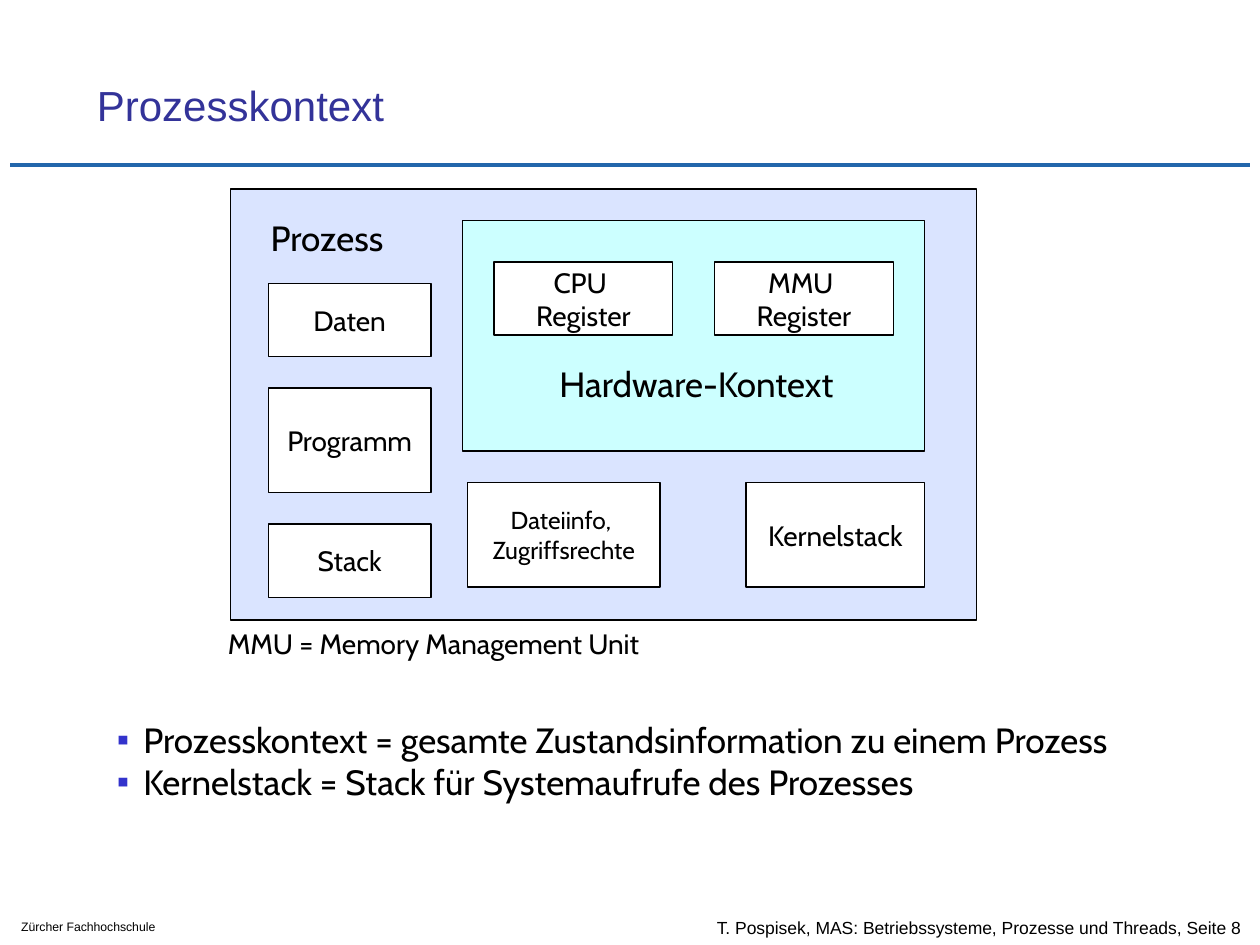
import pptx
import pptx.util
from pptx.dml.color import RGBColor
from pptx.enum.shapes import MSO_CONNECTOR, MSO_SHAPE
from pptx.enum.text import MSO_ANCHOR, MSO_AUTO_SIZE, PP_ALIGN
from pptx.oxml.ns import qn
from pptx.util import Inches
from lxml import etree

BLACK = RGBColor(0x00, 0x00, 0x00)
WHITE = RGBColor(0xFF, 0xFF, 0xFF)
TITLE_BLUE = RGBColor(0x33, 0x33, 0x99)
RULE_BLUE = RGBColor(0x22, 0x66, 0xAB)
BULLET_BLUE = RGBColor(0x33, 0x33, 0xCC)
PROCESS_FILL = RGBColor(0xDA, 0xE4, 0xFF)
HARDWARE_FILL = RGBColor(0xCC, 0xFF, 0xFF)


class SlideBuilder:
    """Holds the style and the current slide."""

    heading_font = "Arial"
    body_font = "Cabin"

    def __init__(self, slide):
        self.slide = slide

    def add_lines(self, frame, lines, size, font=None, color=BLACK, align=PP_ALIGN.LEFT):
        for index, line in enumerate(lines):
            paragraph = frame.paragraphs[0] if index == 0 else frame.add_paragraph()
            paragraph.alignment = align
            run = paragraph.add_run()
            run.text = line
            run.font.size = pptx.util.Pt(size)
            run.font.name = font or self.body_font
            run.font.color.rgb = color

    def text(self, place, lines, size, font=None, color=BLACK,
             anchor=MSO_ANCHOR.TOP, wrap=True):
        frame = self.slide.shapes.add_textbox(*map(Inches, place)).text_frame
        frame.word_wrap = wrap
        frame.auto_size = MSO_AUTO_SIZE.NONE
        frame.vertical_anchor = anchor
        self.add_lines(frame, lines, size, font, color)
        return frame

    def bullets(self, place, lines, size):
        frame = self.text(place, lines, size)
        for paragraph in frame.paragraphs:
            properties = paragraph._p.get_or_add_pPr()
            properties.set("marL", str(Inches(0.21)))
            properties.set("indent", str(-Inches(0.21)))
            bullet_color = etree.SubElement(properties, qn("a:buClr"))
            etree.SubElement(bullet_color, qn("a:srgbClr"), val=str(BULLET_BLUE))
            etree.SubElement(properties, qn("a:buFont"), typeface="Arial")
            etree.SubElement(properties, qn("a:buChar"), char="▪")

    def box(self, place, lines=(), size=16, fill=WHITE):
        box = self.slide.shapes.add_shape(MSO_SHAPE.RECTANGLE, *map(Inches, place))
        box.shadow.inherit = False
        box.fill.solid()
        box.fill.fore_color.rgb = fill
        box.line.color.rgb = BLACK
        box.line.width = pptx.util.Pt(0.75)
        box.text_frame.word_wrap = False
        box.text_frame.vertical_anchor = MSO_ANCHOR.MIDDLE
        self.add_lines(box.text_frame, lines, size, align=PP_ALIGN.CENTER)

    def rule(self, left, right, y):
        rule = self.slide.shapes.add_connector(
            MSO_CONNECTOR.STRAIGHT, *map(Inches, (left, y, right, y)))
        rule.line.color.rgb = RULE_BLUE
        rule.line.width = pptx.util.Pt(2.5)
        etree.SubElement(rule._element.spPr, qn("a:effectLst"))


def main():
    deck = pptx.Presentation()
    deck.slide_width, deck.slide_height = Inches(10), Inches(7.5)
    page = SlideBuilder(deck.slides.add_slide(deck.slide_layouts[6]))
    arial = page.heading_font

    # Header and footer
    page.rule(0.08, 9.92, 1.31)
    page.text((5.59, 7.2, 5.29, 0.33),
              ["T. Pospisek, MAS: Betriebssysteme, Prozesse und Threads, Seite 8"],
              10, arial, anchor=MSO_ANCHOR.MIDDLE)
    page.text((0.07, 7.25, 1.72, 0.22), ["Zürcher Fachhochschule"], 7, arial)
    page.text((0.67, 0.33, 8.52, 0.75), ["Prozesskontext"], 24, arial,
              TITLE_BLUE, MSO_ANCHOR.BOTTOM)

    # Explanations
    page.bullets((0.83, 5.65, 8.58, 1.1), [
        "Prozesskontext = gesamte Zustandsinformation zu einem Prozess",
        "Kernelstack = Stack für Systemaufrufe des Prozesses",
    ], 20)

    # Process with its memory segments
    page.box((1.83, 1.5, 5.92, 3.42), fill=PROCESS_FILL)
    segment_top, segment_gap = 2.25, 0.25
    for segment, height in (("Daten", 0.58), ("Programm", 0.83), ("Stack", 0.58)):
        page.box((2.13, segment_top, 1.29, height), [segment])
        segment_top += height + segment_gap

    # Hardware context with its registers
    page.box((3.67, 1.75, 3.67, 1.83), fill=HARDWARE_FILL)
    for left, unit in ((3.92, "CPU "), (5.67, "MMU ")):
        page.box((left, 2.08, 1.42, 0.58), [unit, "Register"])

    # Operating system data
    page.box((3.71, 3.83, 1.53, 0.83), ["Dateiinfo, ", "Zugriffsrechte"], 14)
    page.box((5.92, 3.83, 1.42, 0.83), ["Kernelstack"])

    # Labels
    for place, label, size in (
        ((4.34, 2.83, 2.58, 0.43), "Hardware-Kontext", 20),
        ((2.05, 1.67, 1.2, 0.43), "Prozess", 20),
        ((1.71, 4.92, 3.83, 0.37), "MMU = Memory Management Unit", 16),
    ):
        page.text(place, [label], size, wrap=False)

    deck.save("out.pptx")


if __name__ == "__main__":
    main()
